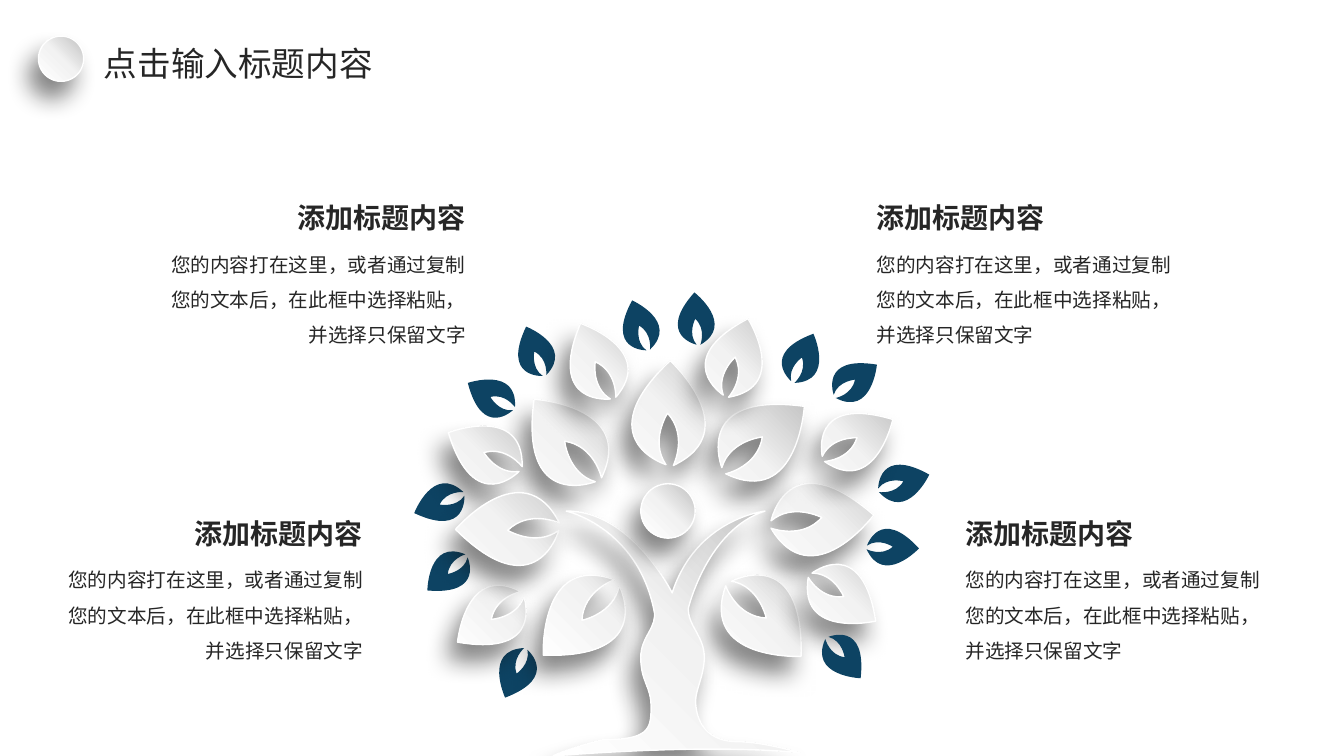
import pptx
import pptx.util
import pptx.dml.color
import pptx.enum.shapes
import pptx.enum.text
import pptx.oxml
import pptx.oxml.ns
from lxml import etree

Cm = pptx.util.Cm
Pt = pptx.util.Pt
qn = pptx.oxml.ns.qn
ALIGN = pptx.enum.text.PP_ALIGN
ANCHOR = pptx.enum.text.MSO_ANCHOR

COLORS = {"text": "262626", "blue": "0D4363", "white": "FFFFFF",
          "light": "F2F2F2", "grey": "BFBFBF", "shadow": "0D0D0D"}
FONT = "Noto Sans CJK SC"
HEADING = "添加标题内容"
BODY = "您的内容打在这里，或者通过复制您的文本后，在此框中选择粘贴，并选择只保留文字"

# Unit leaf as complex numbers: the tip is 0 and the base is 1.
# Each curve is first control, second control, end.
LEAF_CURVES = [
    (0, 0.69 - 0.71j, 1),
    (1, 0.72 - 0.15j, 0.5 + 0.04j),
    (0.5 + 0.04j, 0.76 + 0.22j, 0.99 + 0.07j),
    (0.99 + 0.07j, 0.73 + 0.82j, 0),
]

# Leaves in cm: tip x, tip y, base x, base y
BACK_LEAVES = [
    (20.19, 16.54, 18.29, 14.76), (22.02, 12.98, 19.43, 13.31),
    (20.27, 10.24, 18.29, 11.94), (13.46, 10.06, 15.16, 12.04),
    (16.89, 9.09, 16.97, 11.73), (22.07, 15.65, 20.37, 14.55),
]
BLUE_LEAVES = [
    (21.69, 17.09, 20.8, 16.1), (23.16, 13.82, 21.84, 13.84),
    (23.42, 11.96, 22.15, 12.4), (22.1, 9.19, 21.06, 10.03),
    (20.5, 8.41, 20.02, 9.65), (17.5, 7.37, 17.65, 8.69),
    (15.93, 7.57, 16.38, 8.81), (13.26, 8.23, 13.77, 9.45),
    (11.79, 9.65, 12.98, 10.26), (10.44, 12.93, 11.68, 12.4),
    (10.77, 14.88, 11.73, 13.97), (12.73, 17.58, 13.21, 16.33),
]
FRONT_LEAVES = [
    (22.5, 10.57, 20.78, 11.63), (18.85, 8.03, 18.36, 10.01),
    (14.63, 8.15, 15.52, 10.01), (11.3, 10.9, 13.16, 11.76),
    (11.53, 16.18, 13.13, 14.91), (11.48, 13.34, 14.1, 13.18),
    (13.69, 16.51, 15.49, 14.61),
]

# Trunk in cm, with x + yj for each point
TRUNK_START = 18.59 + 18.69j
TRUNK_CURVES = [
    (17.88 + 18.69j, 17.55 + 18.26j, 17.53 + 17.68j),
    (17.53 + 17.37j, 17.75 + 17.02j, 17.75 + 16.56j),
    (17.75 + 16.03j, 17.32 + 15.75j, 17.35 + 15.32j),
    (17.35 + 15.32j, 17.83 + 13.34j, 19.28 + 12.88j),
    (19.28 + 12.88j, 17.55 + 13.06j, 16.94 + 14.94j),
    (16.94 + 14.94j, 15.9 + 12.85j, 14.27 + 12.88j),
    (14.27 + 12.88j, 16.05 + 13.28j, 16.48 + 15.37j),
    (16.59 + 15.8j, 16.15 + 16.03j, 16.15 + 16.56j),
    (16.15 + 17.2j, 16.41 + 17.27j, 16.41 + 17.83j),
    (16.41 + 18.39j, 16.33 + 18.64j, 15.19 + 18.64j),
    (15.19 + 18.64j, 14.27 + 18.87j, 13.94 + 19.05j),
    (13.94 + 19.05j, 17.73 + 18.72j, 20.17 + 18.97j),
    (20.17 + 18.97j, 19.23 + 18.69j, TRUNK_START),
]

# Text blocks in cm: aligned edge, top, alignment
TEXT_BLOCKS = [
    (21.84, 4.93, ALIGN.LEFT), (24.08, 12.88, ALIGN.LEFT),
    (11.99, 4.93, ALIGN.RIGHT), (9.4, 12.88, ALIGN.RIGHT),
]


def rgb(name):
    return pptx.dml.color.RGBColor.from_string(COLORS[name])


def add_color(parent, name):
    return etree.SubElement(parent, qn("a:srgbClr"), val=COLORS[name])


def style_paper(shape):
    """Grey to white gradient, white outline and soft shadow."""
    shape.fill.gradient()
    shape.fill.gradient_angle = 225
    stops = shape.element.spPr.find(".//" + qn("a:gsLst"))
    for stop in list(stops):
        stops.remove(stop)
    for position, name in ((0, "grey"), (50, "light"), (100, "white")):
        stop = etree.SubElement(stops, qn("a:gs"), pos=str(position * 1000))
        add_color(stop, name)
    shape.line.color.rgb = rgb("white")
    shape.line.width = Pt(1)
    shape.shadow.inherit = False
    effects = shape.element.spPr.find(qn("a:effectLst"))
    shadow = etree.SubElement(
        effects, qn("a:outerShdw"), blurRad=str(Pt(17)), dist=str(Pt(14)),
        dir=str(120 * 60000), algn="tr", rotWithShape="0")
    etree.SubElement(add_color(shadow, "shadow"), qn("a:alpha"), val="50000")


def style_blue(shape):
    shape.fill.solid()
    shape.fill.fore_color.rgb = rgb("blue")
    shape.line.fill.background()
    shape.shadow.inherit = False


def add_outline(shapes, start, curves, style):
    """Draw a closed outline of cubic curves."""
    points = [start] + [point for curve in curves for point in curve]
    corners = [(Cm(point.real), Cm(point.imag)) for point in points]
    builder = shapes.build_freeform(*corners[0])
    builder.add_line_segments(corners[1:], close=True)
    shape = builder.convert_to_shape()
    # Join every three line segments into one curve
    lines = list(shape.element.spPr.iter(qn("a:lnTo")))
    for index in range(0, len(lines), 3):
        curve = etree.Element(qn("a:cubicBezTo"))
        lines[index].addprevious(curve)
        for line in lines[index:index + 3]:
            curve.append(line[0])
            line.getparent().remove(line)
    style(shape)


def add_leaf(shapes, tip_x, tip_y, base_x, base_y, style):
    tip = complex(tip_x, tip_y)
    axis = complex(base_x, base_y) - tip
    curves = [[tip + axis * point for point in curve] for curve in LEAF_CURVES]
    add_outline(shapes, tip, curves, style)


def add_ball(shapes, left, top, size):
    oval = pptx.enum.shapes.MSO_SHAPE.OVAL
    style_paper(shapes.add_shape(oval, Cm(left), Cm(top), Cm(size), Cm(size)))


def add_text(slide, text, left, top, width, height, size, bold=False,
             align=ALIGN.LEFT, spacing=None, anchor=ANCHOR.TOP, inset=0.25):
    shape = slide.shapes.add_textbox(Cm(left), Cm(top), Cm(width), Cm(height))
    frame = shape.text_frame
    frame.word_wrap = True
    frame.vertical_anchor = anchor
    frame.margin_left = frame.margin_right = Cm(inset)
    paragraph = frame.paragraphs[0]
    paragraph.alignment = align
    paragraph.line_spacing = spacing
    run = paragraph.add_run()
    run.text = text
    run.font.size = Pt(size)
    run.font.bold = bold
    run.font.name = FONT
    run.font.color.rgb = rgb("text")
    etree.SubElement(run.font._element, qn("a:ea"), typeface=FONT)


def add_text_block(slide, edge, top, align):
    parts = ((HEADING, 0, 6.35, 1.12, 20, True, None),
             (BODY, 1.02, 8.23, 2.95, 14, False, 1.5))
    for text, offset, width, height, size, bold, spacing in parts:
        left = edge - width if align == ALIGN.RIGHT else edge
        add_text(slide, text, left, top + offset, width, height, size,
                 bold=bold, align=align, spacing=spacing)


def main():
    presentation = pptx.Presentation()
    presentation.slide_width = Cm(33.87)
    presentation.slide_height = Cm(19.05)
    slide = presentation.slides.add_slide(presentation.slide_layouts[6])

    # Tree
    tree = slide.shapes.add_group_shape().shapes
    for leaves, style in ((BACK_LEAVES, style_paper), (BLUE_LEAVES, style_blue),
                          (FRONT_LEAVES, style_paper)):
        for leaf in leaves:
            add_leaf(tree, *leaf, style)
    add_outline(tree, TRUNK_START, TRUNK_CURVES, style_paper)
    add_ball(tree, 16.15, 12.19, 1.37)

    # Text around the tree
    for block in TEXT_BLOCKS:
        add_text_block(slide, *block)

    # Slide title
    add_text(slide, "点击输入标题内容", 2.62, 0.89, 7.87, 1.4, 24,
             anchor=ANCHOR.MIDDLE, inset=0)
    add_ball(slide.shapes, 0.97, 0.91, 1.14)

    presentation.save("out.pptx")


if __name__ == "__main__":
    main()
